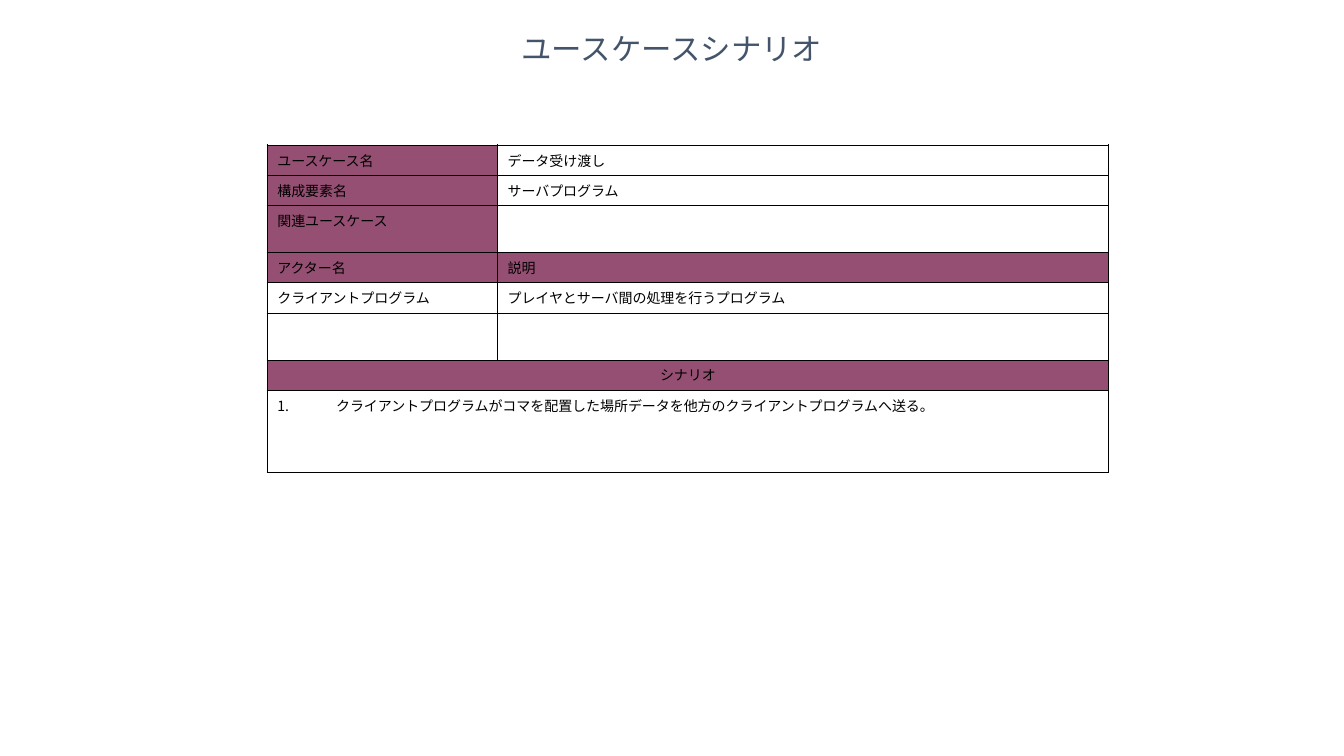
"""Build a use case scenario slide with a title and a bordered table."""
from lxml import etree
from pptx import Presentation
from pptx.dml.color import RGBColor
from pptx.enum.text import MSO_ANCHOR, PP_ALIGN
from pptx.oxml.ns import qn
from pptx.util import Pt

CENTER = PP_ALIGN.CENTER
MIDDLE = MSO_ANCHOR.MIDDLE
BLACK = RGBColor(0x00, 0x00, 0x00)
PLUM = RGBColor(0x95, 0x4F, 0x72)
SLATE = RGBColor(0x44, 0x54, 0x6A)
FONT = "Times New Roman"
THIN, THICK = Pt(0.45), Pt(1.08)


def style_run(p, size, color):
    for r in p.runs:
        r.font.name = FONT
        r.font.size = Pt(size)
        r.font.color.rgb = color


def add_border(cell, side, width):
    tcPr = cell._tc.get_or_add_tcPr()
    ln = etree.SubElement(tcPr, qn(f"a:ln{side}"), w=str(width))
    fill = etree.SubElement(ln, qn("a:solidFill"))
    etree.SubElement(fill, qn("a:srgbClr"), val=str(BLACK))


prs = Presentation()
prs.slide_width, prs.slide_height = Pt(960.5), Pt(540)
s = prs.slides.add_slide(prs.slide_layouts[6])

rows = [
    ("ユースケース名", "データ受け渡し"),
    ("構成要素名", "サーバプログラム"),
    ("関連ユースケース", ""),
    ("アクター名", "説明"),
    ("クライアントプログラム", "プレイヤとサーバ間の処理を行うプログラム"),
    ("", ""),
    ("シナリオ", ""),
    ("クライアントプログラムがコマを配置した場所データを他方のクライアントプログラムへ送る。", ""),
]
heights = [21.6, 21.6, 33.4, 21.6, 21.6, 33.4, 21.6, 59]
shaded = {(0, 0), (1, 0), (2, 0), (3, 0), (3, 1), (6, 0), (6, 1)}
last = len(rows) - 1

table = s.shapes.add_table(len(rows), 2, Pt(191), Pt(103.7), Pt(601.2), Pt(sum(heights))).table
table.first_row = table.horz_banding = False
table.columns[0].width, table.columns[1].width = Pt(164.6), Pt(436.6)
for i, texts in enumerate(rows):
    table.rows[i].height = Pt(heights[i])
    for j, text in enumerate(texts):
        cell = table.cell(i, j)
        add_border(cell, "L", THICK if j == 0 else THIN)
        add_border(cell, "R", THICK if j == 1 else THIN)
        add_border(cell, "T", THICK if i == 0 else THIN)
        add_border(cell, "B", THICK if i == last else THIN)
        if (i, j) in shaded:
            cell.fill.solid()
            cell.fill.fore_color.rgb = PLUM
        else:
            cell.fill.background()
        if text:
            cell.text_frame.text = text
            p = cell.text_frame.paragraphs[0]
            p.space_before = Pt(2.5)
            style_run(p, 10, BLACK)

for i in (6, last):
    table.cell(i, 0).merge(table.cell(i, 1))
table.cell(6, 0).text_frame.paragraphs[0].alignment = CENTER

pPr = table.cell(last, 0).text_frame.paragraphs[0]._p.get_or_add_pPr()
pPr.set("marL", str(Pt(42)))
pPr.set("indent", str(-Pt(42)))
etree.SubElement(pPr, qn("a:buAutoNum"), type="arabicPeriod")

title = s.shapes.add_textbox(Pt(174.2), Pt(19.4), Pt(612), Pt(34.6))
tf = title.text_frame
tf.word_wrap = True
tf.vertical_anchor = MIDDLE
tf.text = "ユースケースシナリオ"
p = tf.paragraphs[0]
p.alignment = CENTER
p.line_spacing = 0.8
style_run(p, 21.7, SLATE)

prs.save("out.pptx")
